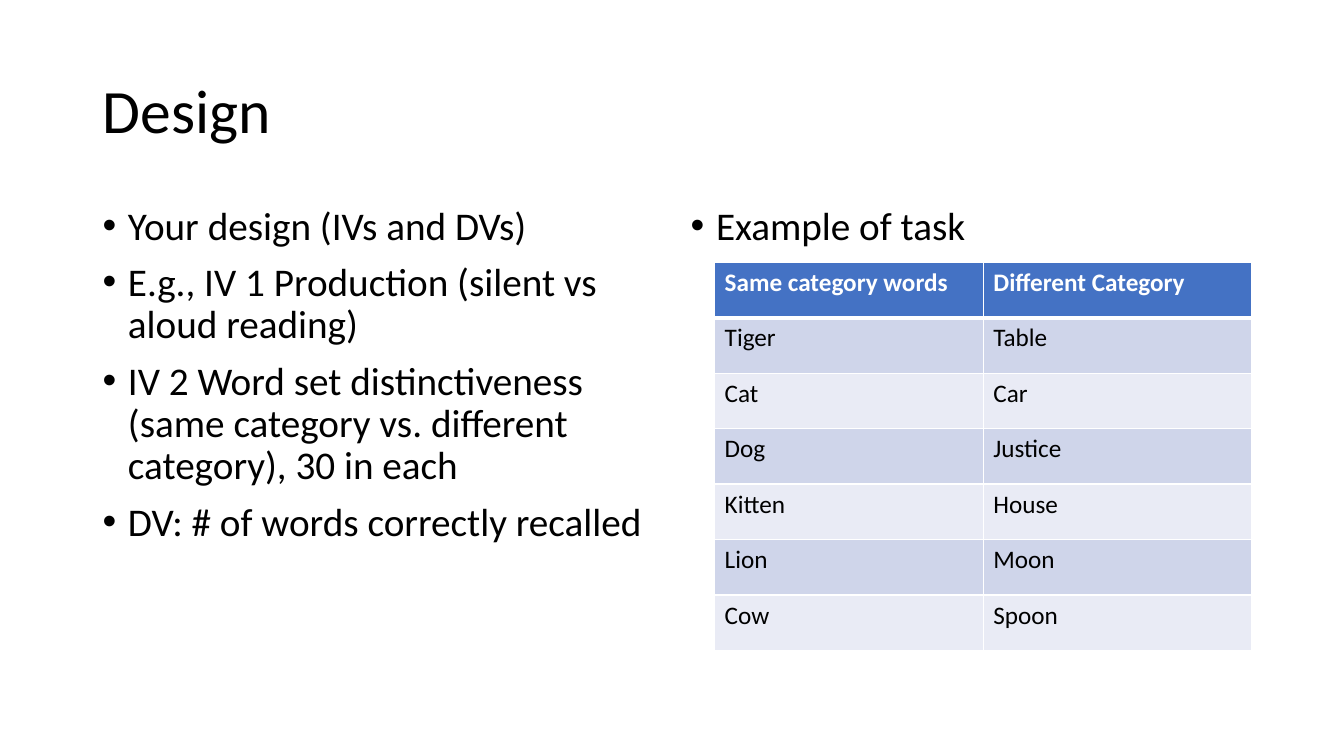
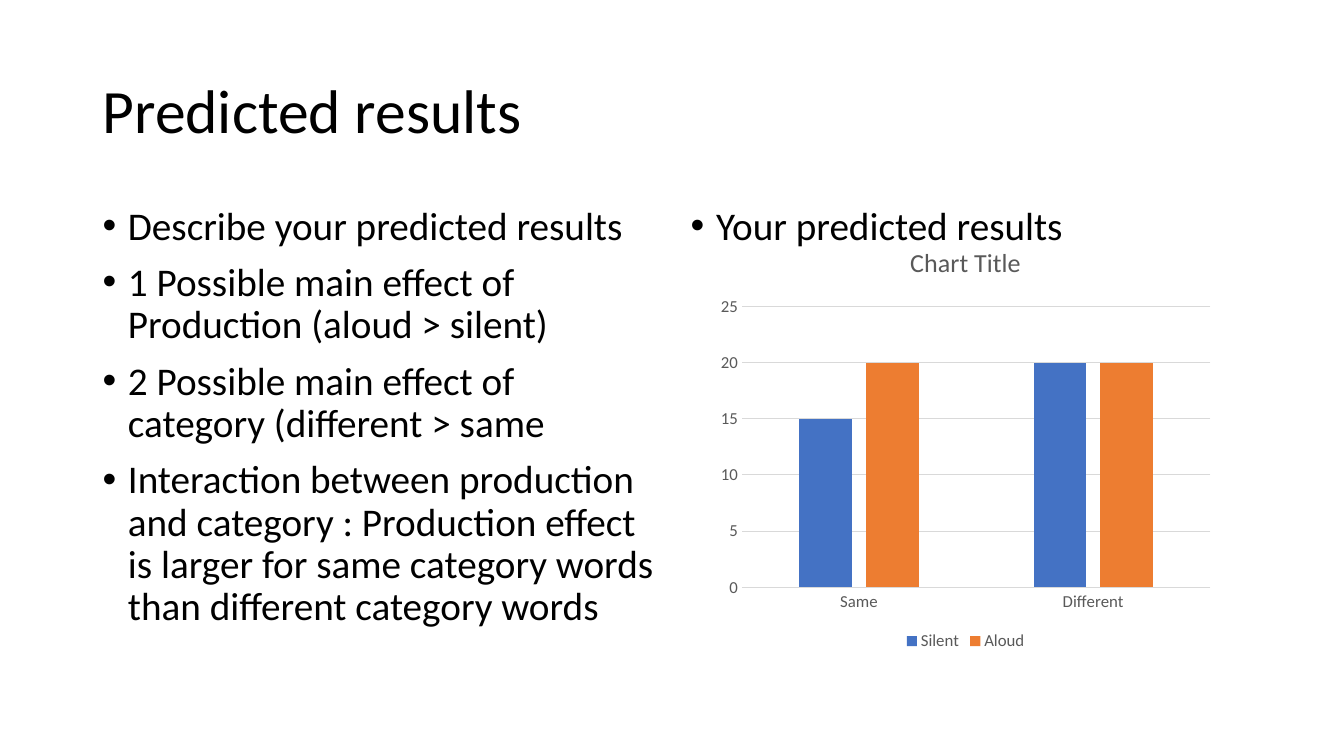
from lxml import etree
from pptx import Presentation
from pptx.chart.data import CategoryChartData
from pptx.dml.color import RGBColor
from pptx.enum.chart import XL_CHART_TYPE, XL_LEGEND_POSITION, XL_TICK_MARK
from pptx.enum.text import MSO_ANCHOR, MSO_AUTO_SIZE, PP_ALIGN
from pptx.oxml.ns import qn
from pptx.util import Cm, Pt

COLUMNS = XL_CHART_TYPE.COLUMN_CLUSTERED
LEGEND_BOTTOM = XL_LEGEND_POSITION.BOTTOM
NO_TICK = XL_TICK_MARK.NONE
MIDDLE, TOP = MSO_ANCHOR.MIDDLE, MSO_ANCHOR.TOP
NO_AUTOFIT = MSO_AUTO_SIZE.NONE
LEFT = PP_ALIGN.LEFT

FONT = "Calibri"
BLACK, WHITE, GREY, RULE = "000000", "FFFFFF", "595959", "D9D9D9"
BLUE, ORANGE = "4472C4", "ED7D31"
BANDS = ("CFD5EA", "E9EBF5")

TITLE_BOX = (2.33, 1.01, 29.21, 3.68)
LEFT_BOX = (2.33, 5.07, 14.4, 12.09)
RIGHT_BOX = (17.15, 5.07, 14.4, 12.09)


def rgb(value):
    return RGBColor.from_string(value)


def style_font(font, size, color, bold=False):
    font.name, font.size, font.bold = FONT, Pt(size), bold
    font.color.rgb = rgb(color)


def add_text(paragraph, text, size, color, bold=False):
    run = paragraph.add_run()
    run.text = text
    style_font(run.font, size, color, bold)


def place(placeholder, box, anchor):
    placeholder.left, placeholder.top, placeholder.width, placeholder.height = map(Cm, box)
    frame = placeholder.text_frame
    frame.word_wrap = True
    frame.auto_size = NO_AUTOFIT
    frame.vertical_anchor = anchor
    return frame


def fill_title(placeholder, text):
    heading = place(placeholder, TITLE_BOX, MIDDLE).paragraphs[0]
    heading.alignment = LEFT
    heading.line_spacing = 0.9
    add_text(heading, text, 44, BLACK)


def fill_list(placeholder, box, items):
    frame = place(placeholder, box, TOP)
    for index, item in enumerate(items):
        entry = frame.add_paragraph() if index else frame.paragraphs[0]
        entry.line_spacing = 0.9
        entry.space_before = Pt(10)
        properties = entry._p.get_or_add_pPr()
        indent = Cm(0.64)
        properties.set("marL", str(indent))
        properties.set("indent", str(-indent))
        etree.SubElement(properties, qn("a:buFont"), typeface="Arial")
        etree.SubElement(properties, qn("a:buChar"), char="•")
        add_text(entry, item, 28, BLACK)


def add_content_slide(deck, title, points, caption):
    slide = deck.slides.add_slide(deck.slide_layouts[3])
    heading, left_list, right_list = slide.placeholders
    fill_title(heading, title)
    fill_list(left_list, LEFT_BOX, points)
    fill_list(right_list, RIGHT_BOX, [caption])
    return slide


def border_cell(cell, **widths):
    properties = cell._tc.get_or_add_tcPr()
    for side in "LRTB":
        line = etree.SubElement(properties, qn(f"a:ln{side}"), w=str(Pt(widths.get(side, 1))))
        fill = etree.SubElement(line, qn("a:solidFill"))
        etree.SubElement(fill, qn("a:srgbClr"), val=WHITE)


def add_word_table(slide, box, rows):
    table = slide.shapes.add_table(len(rows), len(rows[0]), *map(Cm, box)).table
    for row_index, words in enumerate(rows):
        header = row_index == 0
        widths = {0: {"B": 3}, 1: {"T": 3}}.get(row_index, {})
        for column_index, word in enumerate(words):
            cell = table.cell(row_index, column_index)
            border_cell(cell, **widths)
            cell.fill.solid()
            cell.fill.fore_color.rgb = rgb(BLUE if header else BANDS[(row_index - 1) % 2])
            add_text(cell.text_frame.paragraphs[0], word, 18, WHITE if header else BLACK, header)


def style_axis(axis):
    axis.major_tick_mark = axis.minor_tick_mark = NO_TICK
    style_font(axis.tick_labels.font, 12, GREY)


def style_rule(line):
    line.color.rgb = rgb(RULE)
    line.width = Pt(0.75)


def add_recall_chart(slide, box, categories, series):
    data = CategoryChartData()
    data.categories = categories
    for name, values, _ in series:
        data.add_series(name, values)
    chart = slide.shapes.add_chart(COLUMNS, *map(Cm, box), data).chart
    style_font(chart.font, 10, BLACK)

    chart.has_title = True
    add_text(chart.chart_title.text_frame.paragraphs[0], "Chart Title", 18.6, GREY)
    chart.chart_title.include_in_layout = False
    chart.has_legend = True
    chart.legend.position = LEGEND_BOTTOM
    chart.legend.include_in_layout = False
    style_font(chart.legend.font, 12, GREY)

    style_axis(chart.category_axis)
    style_rule(chart.category_axis.format.line)
    scale = chart.value_axis
    style_axis(scale)
    scale.minimum_scale, scale.maximum_scale, scale.major_unit = 0, 25, 5
    scale.format.line.fill.background()
    style_rule(scale.major_gridlines.format.line)

    plot = chart.plots[0]
    plot.gap_width, plot.overlap, plot.vary_by_categories = 219, -27, False
    for bars, (_, _, color) in zip(plot.series, series):
        bars.format.fill.solid()
        bars.format.fill.fore_color.rgb = rgb(color)


def build_design(deck):
    slide = add_content_slide(deck, "Design", [
        "Your design (IVs and DVs)",
        "E.g., IV 1 Production (silent vs aloud reading)",
        "IV 2 Word set distinctiveness (same category vs. different category), 30 in each",
        "DV: # of words correctly recalled",
    ], "Example of task")
    left, top, width, _ = RIGHT_BOX
    inset = 0.86
    add_word_table(slide, (left + inset, top + 1.54, width - inset, 9.78), [
        ("Same category words", "Different Category"),
        ("Tiger", "Table"),
        ("Cat", "Car"),
        ("Dog", "Justice"),
        ("Kitten", "House"),
        ("Lion", "Moon"),
        ("Cow", "Spoon"),
    ])


def build_results(deck):
    slide = add_content_slide(deck, "Predicted results", [
        "Describe your predicted results",
        "1 Possible main effect of Production (aloud > silent)",
        "2 Possible main effect of category (different > same",
        "Interaction between production and category : Production effect is larger "
        "for same category words than different category words",
    ], "Your predicted results")
    left, top, _, _ = RIGHT_BOX
    add_recall_chart(slide, (left + 0.76, top + 0.62, 12.85, 10.82), ("Same", "Different"), [
        ("Silent", (15, 20), BLUE),
        ("Aloud", (20, 20), ORANGE),
    ])


deck = Presentation()
deck.slide_width, deck.slide_height = Cm(33.87), Cm(19.05)
build_design(deck)
build_results(deck)
deck.save("out.pptx")
